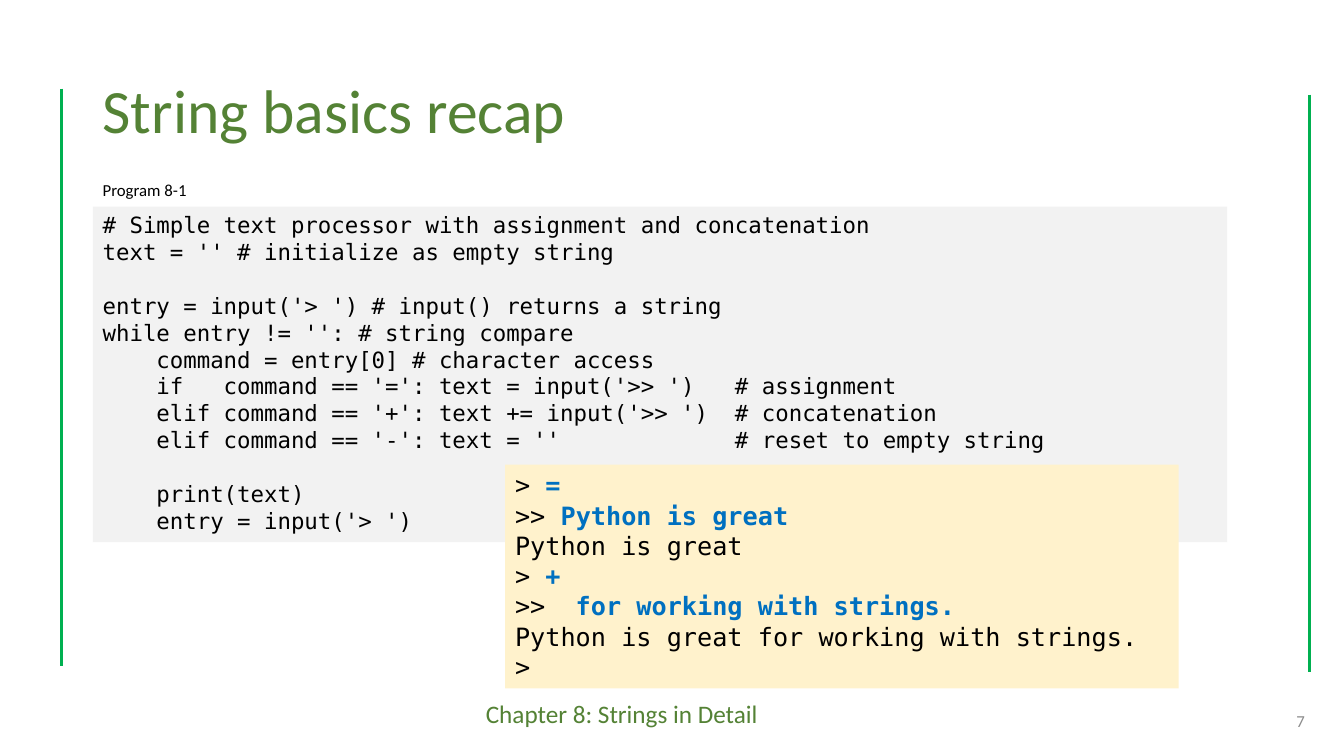
from lxml import etree
from pptx import Presentation
from pptx.dml.color import RGBColor
from pptx.enum.shapes import MSO_CONNECTOR, MSO_SHAPE
from pptx.enum.text import MSO_ANCHOR, PP_ALIGN
from pptx.oxml.ns import qn
from pptx.util import Pt

PX = 9144  # 100 px to the inch

STRAIGHT = MSO_CONNECTOR.STRAIGHT
RECTANGLE = MSO_SHAPE.RECTANGLE
TOP, MIDDLE = MSO_ANCHOR.TOP, MSO_ANCHOR.MIDDLE
LEFT, RIGHT = PP_ALIGN.LEFT, PP_ALIGN.RIGHT

BLACK = RGBColor(0x00, 0x00, 0x00)
GRAY = RGBColor(0x8C, 0x8C, 0x8C)
DARK_GREEN = RGBColor(0x54, 0x82, 0x35)
RULE_GREEN = RGBColor(0x00, 0xB0, 0x50)
INPUT_BLUE = RGBColor(0x00, 0x70, 0xC0)
CODE_FILL = RGBColor(0xF2, 0xF2, 0xF2)
SESSION_FILL = RGBColor(0xFF, 0xF2, 0xCC)

SANS = "Calibri"
MONO = "DejaVu Sans Mono"

PROGRAM = """\
# Simple text processor with assignment and concatenation
text = '' # initialize as empty string

entry = input('> ') # input() returns a string
while entry != '': # string compare
    command = entry[0] # character access
    if   command == '=': text = input('>> ')   # assignment
    elif command == '+': text += input('>> ')  # concatenation
    elif command == '-': text = ''             # reset to empty string

    print(text)
    entry = input('> ')"""

# Each line: what the program prints, what the user types
SESSION = [
    ("> ", "="),
    (">> ", "Python is great"),
    ("Python is great", ""),
    ("> ", "+"),
    (">>  ", "for working with strings."),
    ("Python is great for working with strings.", ""),
    (">", ""),
]


def lengths(*pixels):
    return [pixel * PX for pixel in pixels]


def add_span(para, text, size, font=SANS, color=BLACK, bold=False):
    span = para.add_run()
    span.text = text
    span.font.size = Pt(size)
    span.font.name = font
    span.font.color.rgb = color
    span.font.bold = bold


def add_label(page, place, text, size, color=BLACK, align=LEFT, anchor=TOP,
              line_spacing=1.0):
    frame = page.shapes.add_textbox(*lengths(*place)).text_frame
    frame.word_wrap = True
    frame.vertical_anchor = anchor
    para = frame.paragraphs[0]
    para.alignment = align
    para.line_spacing = line_spacing
    add_span(para, text, size, color=color)


def add_listing(page, place, fill, lines, size):
    """Draw a filled box of (printed, typed) lines; an empty line becomes space."""
    box = page.shapes.add_shape(RECTANGLE, *lengths(*place))
    box.shadow.inherit = False
    box.fill.solid()
    box.fill.fore_color.rgb = fill
    box.line.fill.background()
    frame = box.text_frame
    frame.word_wrap = True
    frame.vertical_anchor = TOP
    para = frame.paragraphs[0]
    gap = False
    for printed, typed in lines:
        if not printed:
            gap = True
            continue
        if para.runs:
            para = frame.add_paragraph()
        para.alignment = LEFT
        if gap:
            para.space_before = Pt(size * 1.19)
            gap = False
        add_span(para, printed, size, MONO)
        if typed:
            add_span(para, typed, size, MONO, INPUT_BLUE, bold=True)


def add_side_rule(page, x, top, height):
    rule = page.shapes.add_connector(STRAIGHT, *lengths(x, top, x, top + height))
    rule.line.color.rgb = RULE_GREEN
    rule.line.width = Pt(2.25)
    etree.SubElement(rule._element.spPr, qn("a:effectLst"))


def main():
    deck = Presentation()
    deck.slide_width, deck.slide_height = lengths(1333, 750)
    page = deck.slides.add_slide(deck.slide_layouts[6])

    # Frame: chapter footer and side rules
    add_label(page, (472, 688, 396, 40), "Chapter 8: Strings in Detail", 18,
              color=DARK_GREEN)
    add_side_rule(page, 61, 88, 573)
    add_side_rule(page, 1299, 94, 573)

    # Title and page number
    add_label(page, (92, 40, 1150, 145), "String basics recap", 44,
              color=DARK_GREEN, anchor=MIDDLE, line_spacing=0.9)
    add_label(page, (1004, 695, 300, 40), "7", 12, color=GRAY, align=RIGHT,
              anchor=MIDDLE)

    # Program, its sample session and its caption
    program_lines = [(line, "") for line in PROGRAM.splitlines()]
    add_listing(page, (92, 205, 1125, 333), CODE_FILL, program_lines, 16)
    add_listing(page, (501, 461, 668, 222), SESSION_FILL, SESSION, 18)
    add_label(page, (92, 173, 203, 30), "Program 8-1", 12)

    deck.save("out.pptx")


if __name__ == "__main__":
    main()
